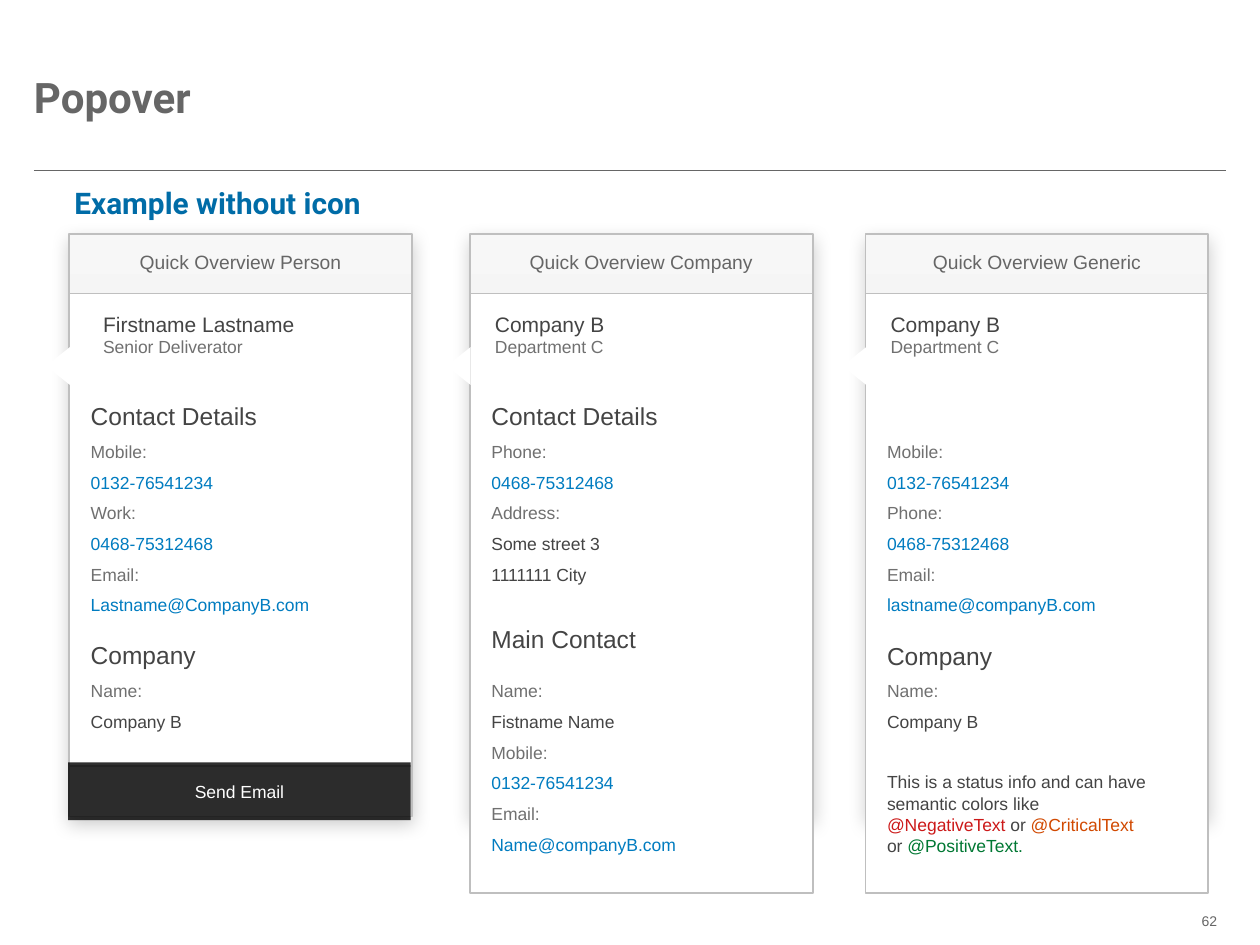
from lxml import etree
from pptx import Presentation
from pptx.dml.color import RGBColor
from pptx.enum.shapes import MSO_CONNECTOR, MSO_SHAPE
from pptx.enum.text import MSO_ANCHOR, PP_ALIGN
from pptx.oxml import parse_xml
from pptx.oxml.ns import nsdecls, qn
from pptx.util import Inches, Pt

rgb = RGBColor.from_string
DARK, GREY, BLUE, MID = "444444", "707070", "007CC0", "666666"
BORDER = "BFBFBF"


def add_box(shapes, kind, x, y, w, h, fill=None, line=None):
    """Add a preset shape, or a text box when kind is None."""
    place = Inches(x), Inches(y), Inches(w), Inches(h)
    if kind is None:
        return shapes.add_textbox(*place)
    sp = shapes.add_shape(kind, *place)
    sp.shadow.inherit = False
    if fill:
        sp.fill.solid()
        sp.fill.fore_color.rgb = rgb(fill)
    if line:
        sp.line.color.rgb = rgb(line)
        sp.line.width = Pt(1)
    else:
        sp.line.fill.background()
    return sp


def add_text(sp, paragraphs, size=10, color=DARK, font="Arial", bold=False, gap=0,
             align=PP_ALIGN.LEFT, anchor=MSO_ANCHOR.TOP, margins=(0, 0, 0, 0), wrap=True):
    """Fill a shape; a paragraph is a string or a list of (text, color[, size]) runs."""
    tf = sp.text_frame
    tf.word_wrap = wrap
    tf.vertical_anchor = anchor
    tf.margin_left, tf.margin_top, tf.margin_right, tf.margin_bottom = map(Inches, margins)
    for i, runs in enumerate(paragraphs):
        p = tf.paragraphs[0] if i == 0 else tf.add_paragraph()
        p.alignment = align
        if i and gap:
            p.space_before = Pt(gap)
        for text, run_color, *run_size in [(runs, color)] if isinstance(runs, str) else runs:
            r = p.add_run()
            r.text = text
            r.font.name = font
            r.font.size = Pt(run_size[0] if run_size else size)
            r.font.bold = bold
            r.font.color.rgb = rgb(run_color)
    return tf


prs = Presentation()
prs.slide_width, prs.slide_height = Inches(10), Inches(7.5)
s = prs.slides.add_slide(prs.slide_layouts[6])

# Title, rule, subtitle and page number
add_text(add_box(s.shapes, None, 0.27, 0.35, 9.47, 0.83), ["Popover"], size=24, color=MID,
         font="Roboto", bold=True, anchor=MSO_ANCHOR.MIDDLE)
rule = s.shapes.add_connector(MSO_CONNECTOR.STRAIGHT, Inches(0.27), Inches(1.35),
                              Inches(9.73), Inches(1.35))
rule.line.color.rgb = rgb(MID)
rule.line.width = Pt(0.5)
etree.SubElement(rule._element.spPr, qn("a:effectLst"))
add_text(add_box(s.shapes, None, 0.59, 1.47, 2.29, 0.29), ["Example without icon"], size=17,
         color="006CA7", font="Roboto", bold=True, wrap=False)
add_text(add_box(s.shapes, None, 9.52, 7.24, 0.22, 0.13), ["62"], size=8, color=MID,
         align=PP_ALIGN.RIGHT, margins=(0, 0, 0.08, 0), wrap=False)

# Cards: left, body height, header, name inset, name, role,
# then sections of (heading, heading top, rows top, rows)
status = [("This is a status info and can have semantic colors like ", DARK),
          ("@NegativeText ", "CC1919"), ("or ", DARK), ("@CriticalText ", "D14900"),
          ("or ", DARK), ("@PositiveText.", "007833")]
cards = [
    (0.55, 3.75, "Quick Overview Person", 0.17, "Firstname Lastname", "Senior Deliverator", [
        ("Contact Details", 3.18, 3.5, [
            ("Mobile:", GREY), ("0132-76541234", BLUE), ("Work:", GREY),
            ("0468-75312468", BLUE), ("Email:", GREY), ("Lastname@CompanyB.com", BLUE)]),
        ("Company", 5.08, 5.4, [("Name:", GREY), ("Company B", DARK)])]),
    (3.73, 4.76, "Quick Overview Company", 0.1, "Company B", "Department C", [
        ("Contact Details", 3.18, 3.5, [
            ("Phone:", GREY), ("0468-75312468", BLUE), ("Address:", GREY),
            ("Some street 3", DARK), ("1111111 City", DARK)]),
        ("Main Contact", 4.95, 5.4, [
            ("Name:", GREY), ("Fistname Name", DARK), ("Mobile:", GREY),
            ("0132-76541234", BLUE), ("Email:", GREY), ("Name@companyB.com", BLUE)])]),
    (6.87, 4.76, "Quick Overview Generic", 0.1, "Company B", "Department C", [
        (None, 0, 3.5, [
            ("Mobile:", GREY), ("0132-76541234", BLUE), ("Phone:", GREY),
            ("0468-75312468", BLUE), ("Email:", GREY), ("lastname@companyB.com", BLUE)]),
        ("Company", 5.09, 5.4, [("Name:", GREY), ("Company B", DARK), status])]),
]

for x, body_h, header, inset, name, role, sections in cards:
    card = s.shapes.add_group_shape().shapes

    # Header panel with gradient and soft shadow
    sp = add_box(card, MSO_SHAPE.RECTANGLE, x, 1.86, 2.72, 4.62, line=BORDER)
    sp.fill.gradient()
    sp.fill.gradient_angle = 270
    for stop, position, color in zip(sp.fill.gradient_stops, (0, 0.34), ("F7F7F7", "EDEDED")):
        stop.position = position
        stop.color.rgb = rgb(color)
    sp._element.spPr.find(qn("a:effectLst")).append(parse_xml(
        f'<a:outerShdw {nsdecls("a")} blurRad="{Pt(10)}" dist="{Pt(3)}" dir="5400000" '
        'algn="t" rotWithShape="0"><a:srgbClr val="000000"><a:alpha val="20000"/>'
        '</a:srgbClr></a:outerShdw>'))
    add_text(sp, [header], size=11, color=MID, align=PP_ALIGN.CENTER,
             margins=(0.1, 0.13, 0.1, 0.05))

    # Body and pointer
    add_box(card, MSO_SHAPE.RECTANGLE, x, 2.33, 2.72, body_h, "FFFFFF", BORDER)
    pointer = add_box(card, MSO_SHAPE.FLOWCHART_MERGE, x - 0.24, 2.81, 0.3, 0.19, "FFFFFF")
    pointer.rotation = 90

    # Name and role
    add_text(add_box(card, None, x + inset, 2.42, 1.99, 0.47),
             [[(name, DARK, 12)], [(role, GREY)]], margins=(0.1, 0.05, 0.1, 0.05))

    # Sections
    for heading, heading_y, rows_y, rows in sections:
        if heading:
            add_text(add_box(card, None, x + 0.17, heading_y, 2.37, 0.24), [heading], size=14)
        paragraphs = [[row] if isinstance(row, tuple) else row for row in rows]
        tf = add_text(add_box(card, None, x + 0.17, rows_y, 2.11, 0.24 * len(rows)),
                      paragraphs, gap=5.5)
        if rows[-1] is status:
            tf.paragraphs[-1].space_before = Pt(22.5)

# Translucent footer button
sp = add_box(s.shapes, MSO_SHAPE.RECTANGLE, 0.54, 6.05, 2.72, 0.46, "000000")
color = sp._element.spPr.find(qn("a:solidFill"))[0]
etree.SubElement(color, qn("a:alpha"), val="81000")
add_text(sp, ["Send Email"], color="FFFFFF", align=PP_ALIGN.CENTER, anchor=MSO_ANCHOR.MIDDLE)

prs.save("out.pptx")
